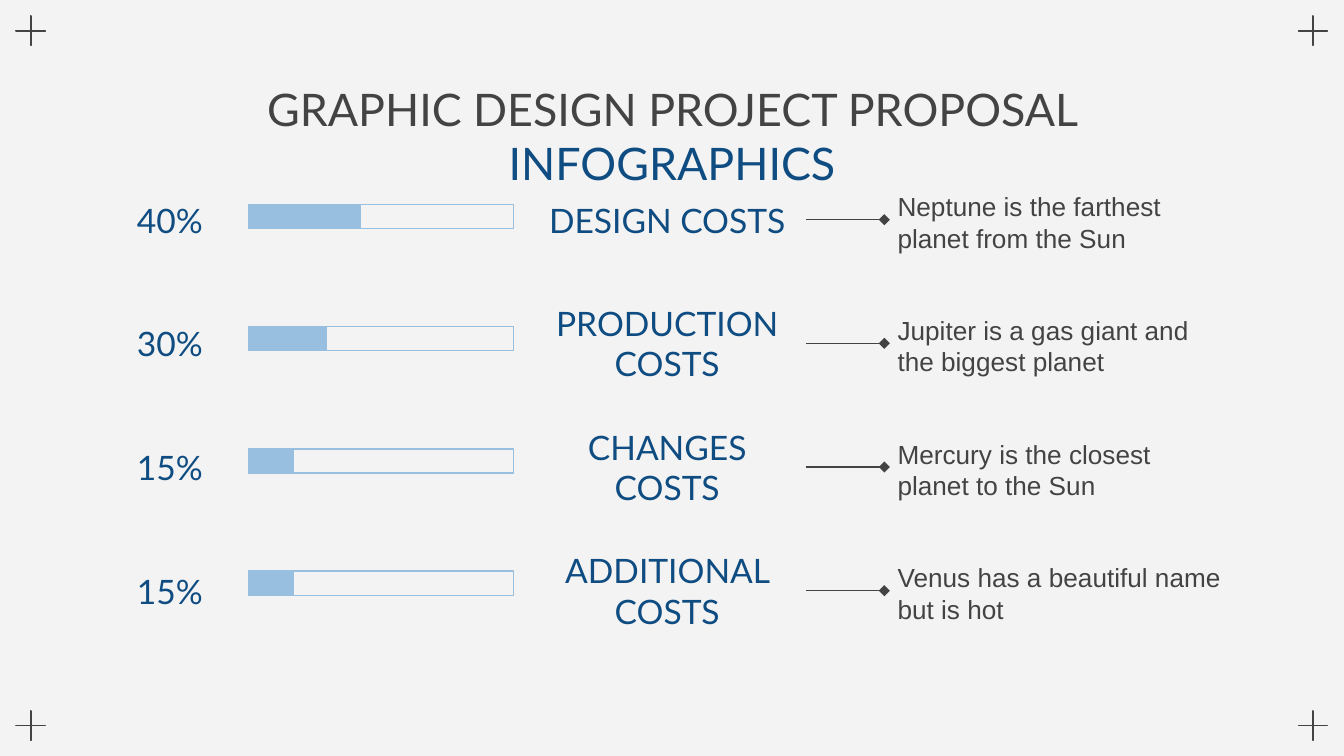
from lxml import etree
from pptx import Presentation
from pptx.dml.color import RGBColor
from pptx.enum.shapes import MSO_CONNECTOR, MSO_SHAPE
from pptx.enum.text import MSO_ANCHOR, MSO_AUTO_SIZE, PP_ALIGN
from pptx.oxml.ns import qn
from pptx.util import Inches, Pt

PLUS, BAR = MSO_SHAPE.MATH_PLUS, MSO_SHAPE.ROUNDED_RECTANGLE
STRAIGHT = MSO_CONNECTOR.STRAIGHT
TOP, MIDDLE = MSO_ANCHOR.TOP, MSO_ANCHOR.MIDDLE
LEFT, CENTER = PP_ALIGN.LEFT, PP_ALIGN.CENTER
NO_FIT = MSO_AUTO_SIZE.NONE

DARK, BLUE, PALE, PAPER = "434343", "0F4C81", "98BEE0", "F3F3F3"

# Share, filled width, label, note
ROWS = [
    ("40%", 0.83, "DESIGN COSTS", "Neptune is the farthest planet from the Sun"),
    ("30%", 0.58, "PRODUCTION COSTS", "Jupiter is a gas giant and the biggest planet"),
    ("15%", 0.33, "CHANGES COSTS", "Mercury is the closest planet to the Sun"),
    ("15%", 0.33, "ADDITIONAL COSTS", "Venus has a beautiful name but is hot"),
]
ROW_TOP, ROW_STEP, ROW_TALL = 1.32, 0.92, 0.63
BAR_TOP, BAR_STEP = 1.52, 0.91


def color(code):
    return RGBColor.from_string(code)


def style(run, font, size, code):
    run.font.name = font
    run.font.size = Pt(size)
    run.font.color.rgb = color(code)


def set_frame(frame, anchor):
    frame.word_wrap = True
    frame.auto_size = NO_FIT
    frame.vertical_anchor = anchor
    frame.margin_left = frame.margin_right = Inches(0.1)
    frame.margin_top = frame.margin_bottom = Inches(0.1)


def write(shape, text, anchor, align, font, size, code):
    set_frame(shape.text_frame, anchor)
    shape.text_frame.text = text
    para = shape.text_frame.paragraphs[0]
    para.alignment = align
    style(para.runs[0], font, size, code)


def add_shape(slide, kind, box, adj, fill=None, line=None):
    shape = slide.shapes.add_shape(kind, *map(Inches, box))
    shape.shadow.inherit = False
    shape.adjustments[0] = adj
    if fill:
        shape.fill.solid()
        shape.fill.fore_color.rgb = color(fill)
    else:
        shape.fill.background()
    if line:
        shape.line.color.rgb = color(line)
        shape.line.width = Pt(0.75)
    else:
        shape.line.fill.background()
    return shape


def add_label(slide, box, text):
    label = add_shape(slide, BAR, box, 0)
    write(label, text, MIDDLE, CENTER, "Lato", 18, BLUE)
    return label


def add_note(slide, box, text):
    note = slide.shapes.add_textbox(*map(Inches, box))
    write(note, text, TOP, LEFT, "Arial", 14, DARK)
    return note


def join(slide, start, end):
    link = slide.shapes.add_connector(STRAIGHT, 0, 0, 0, 0)
    link.begin_connect(start, 3)
    link.end_connect(end, 1)
    link.line.color.rgb = color(DARK)
    link.line.width = Pt(0.75)
    # Diamond at the far end, no shadow
    props = link.element.spPr
    etree.SubElement(props.find(qn("a:ln")), qn("a:tailEnd"), type="diamond")
    etree.SubElement(props, qn("a:effectLst"))


def add_title(slide):
    title = slide.shapes.title
    title.left, title.top = Inches(0.81), Inches(0.51)
    title.width, title.height = Inches(8.38), Inches(0.62)
    set_frame(title.text_frame, TOP)
    para = title.text_frame.paragraphs[0]
    para.alignment = CENTER
    for text, code in (("GRAPHIC DESIGN PROJECT PROPOSAL ", DARK), ("INFOGRAPHICS", BLUE)):
        run = para.add_run()
        run.text = text
        style(run, "Lato", 24, code)


def add_row(slide, index, share, width, name, text):
    top = ROW_TOP + index * ROW_STEP
    level = BAR_TOP + index * BAR_STEP
    add_label(slide, (0.78, top, 0.97, ROW_TALL), share)
    # Outlined track with its filled part
    add_shape(slide, BAR, (1.85, level, 1.97, 0.18), 0, line=PALE)
    add_shape(slide, BAR, (1.85, level, width, 0.18), 0, PALE, PALE)
    label = add_label(slide, (3.93, top, 2.07, ROW_TALL), name)
    note = add_note(slide, (6.58, top, 2.64, ROW_TALL), text)
    join(slide, label, note)


def main():
    deck = Presentation()
    # Widescreen, 16 to 9
    deck.slide_width = Inches(10)
    deck.slide_height = Inches(10 * 9 / 16)
    slide = deck.slides.add_slide(deck.slide_layouts[5])
    slide.background.fill.solid()
    slide.background.fill.fore_color.rgb = color(PAPER)

    # Corner marks
    for top in (0.08, 5.25):
        for left in (0.08, 9.62):
            add_shape(slide, PLUS, (left, top, 0.3, 0.3), 0.007, line=DARK)

    add_title(slide)
    for index, row in enumerate(ROWS):
        add_row(slide, index, *row)
    deck.save("out.pptx")


if __name__ == "__main__":
    main()
